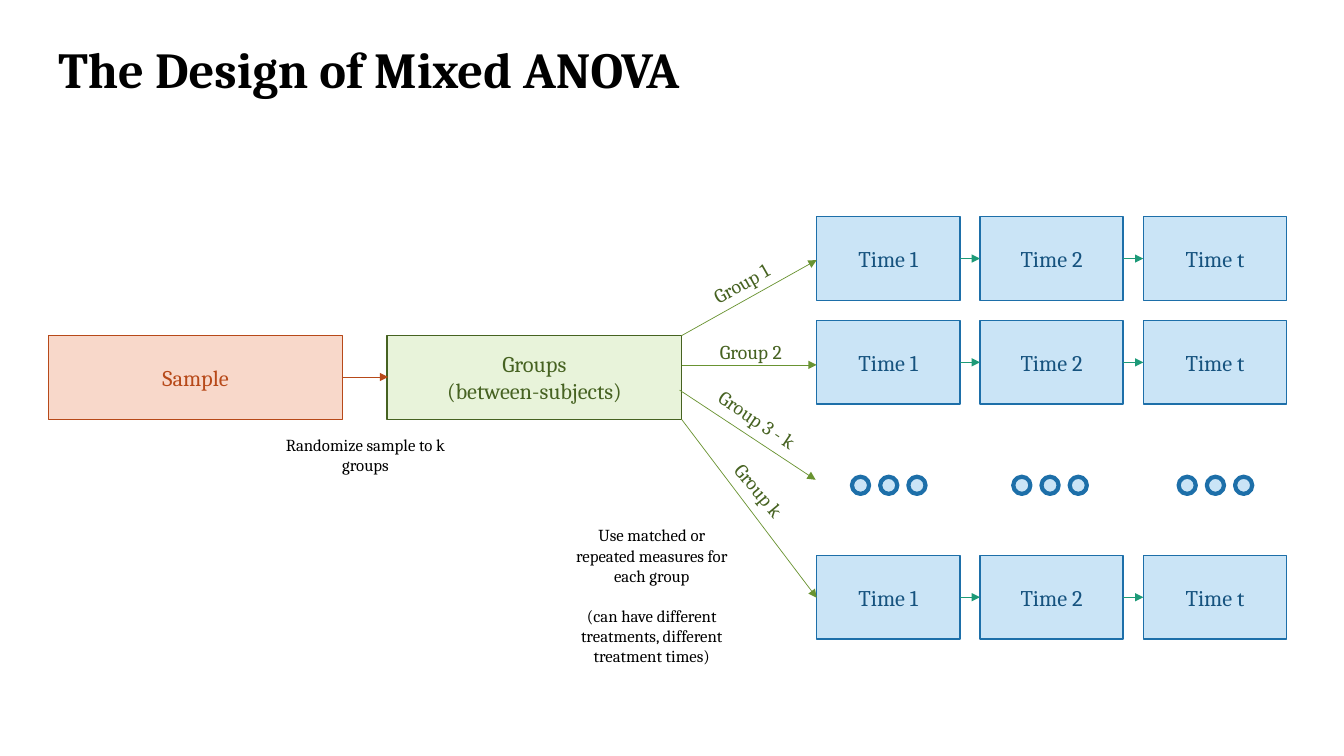
from lxml import etree
from pptx import Presentation
from pptx import util as u
from pptx.dml.color import RGBColor
from pptx.enum import shapes as sh, text as tx
from pptx.oxml.ns import qn

FONT = "Cambria"
BLUE, PALE, NAVY = "1D6FA9", "CAE4F6", "16537F"
GREEN, LEAF, TEAL, RUST = "466221", "699331", "1D9A78", "B74919"
WIDE, SLIM, HIGH = 2.92, 1.42, 0.83


def paint(fmt, hue):
    """Set a solid hex colour on a font, fill or line format."""
    if hasattr(fmt, "solid"):
        fmt.solid()
        fmt = fmt.fore_color
    else:
        fmt = fmt.color
    fmt.rgb = RGBColor.from_string(hue)


def write(frame, lines, size, hue, align, bold=False, gap=0):
    """Fill a text frame with one paragraph per line."""
    frame.word_wrap = True
    for i, line in enumerate(lines):
        par = frame.add_paragraph() if i else frame.paragraphs[0]
        par.text = line
        par.alignment = align
        par.space_before = u.Pt(gap if i else 0)
        par.font.name, par.font.size, par.font.bold = FONT, u.Pt(size), bold
        paint(par.font, hue)


def shape(slide, kind, spot, fill, edge, weight):
    """Add a filled and outlined preset shape."""
    item = slide.shapes.add_shape(kind, *map(u.Inches, spot))
    item.shadow.inherit = False
    paint(item.fill, fill)
    paint(item.line, edge)
    item.line.width = u.Pt(weight)
    return item


def box(slide, spot, lines, fill, edge, ink):
    """Add a rectangle with centred text."""
    item = shape(slide, sh.MSO_SHAPE.RECTANGLE, spot, fill, edge, 1)
    item.text_frame.vertical_anchor = tx.MSO_ANCHOR.MIDDLE
    write(item.text_frame, lines, 16, ink, tx.PP_ALIGN.CENTER)


def arrow(slide, start, end, hue):
    """Add a thin line with a triangle at its end."""
    line = slide.shapes.add_connector(
        sh.MSO_CONNECTOR.STRAIGHT, *map(u.Inches, start + end))
    paint(line.line, hue)
    line.line.width = u.Pt(0.5)
    prop = line.element.spPr
    etree.SubElement(prop.find(qn("a:ln")), qn("a:tailEnd"), type="triangle")
    etree.SubElement(prop, qn("a:effectLst"))


def label(slide, spot, lines, size, hue, align=tx.PP_ALIGN.LEFT,
          turn=0, bold=False, gap=0):
    """Add a text box, turned if asked."""
    item = slide.shapes.add_textbox(*map(u.Inches, spot))
    item.rotation = turn
    write(item.text_frame, lines, size, hue, align, bold, gap)


def times(slide, lefts, top):
    """Add one row of linked time boxes."""
    mid = top + HIGH / 2
    for left, name in zip(lefts, ("Time 1", "Time 2", "Time t")):
        box(slide, (left, top, SLIM, HIGH), [name], PALE, BLUE, NAVY)
    for left, after in zip(lefts, lefts[1:]):
        arrow(slide, (left + SLIM, mid), (after, mid), TEAL)


def dots(slide, left):
    """Add three small rings in a row."""
    for i in range(3):
        spot = (left + i * 0.28, 4.73, 0.17, 0.17)
        shape(slide, sh.MSO_SHAPE.OVAL, spot, PALE, BLUE, 3)


def main():
    """Build the slide and save it."""
    deck = Presentation()
    deck.slide_width, deck.slide_height = u.Inches(13.33), u.Inches(7.5)
    slide = deck.slides.add_slide(deck.slide_layouts[6])

    label(slide, (0.48, 0.33, 7.6, 0.71), ["The Design of Mixed ANOVA"],
          36, "000000", bold=True)
    box(slide, (0.48, 3.33, WIDE, HIGH), ["Sample"], "F8D8CA", RUST, RUST)
    box(slide, (3.84, 3.33, WIDE, HIGH), ["Groups", "(between-subjects)"],
        "E8F3DA", GREEN, GREEN)
    arrow(slide, (3.39, 3.74), (3.85, 3.74), RUST)

    lefts = [8.1 + i * 1.62 for i in range(3)]
    for top in (2.15, 3.18, 5.51):
        times(slide, lefts, top)
    for left in (8.45, 10.05, 11.69):
        dots(slide, left)

    groups = (
        ("Group 1", (6.76, 3.33), (8.1, 2.58), (6.95, 2.62, 0.89), 330.5),
        ("Group 2", (6.76, 3.62), (8.1, 3.62), (7.04, 3.32, 0.91), 0),
        ("Group 3 - k", (6.74, 3.87), (8.09, 4.76), (6.97, 4.03, 1.18), 34),
        ("Group k", (6.76, 4.16), (8.1, 5.93), (7.1, 4.73, 0.91), 50.2),
    )
    for name, start, end, spot, turn in groups:
        arrow(slide, start, end, LEAF)
        label(slide, spot + (0.34,), [name], 14, GREEN, turn=turn)

    notes = (
        ((2.72, 4.26, 1.81, 0.5), ["Randomize sample to k groups"]),
        ((5.56, 5.16, 1.81, 1.51),
         ["Use matched or repeated measures for each group",
          "(can have different treatments, different treatment times)"]),
    )
    for spot, lines in notes:
        label(slide, spot, lines, 12, "000000", tx.PP_ALIGN.CENTER, gap=14.5)

    deck.save("out.pptx")


main()
